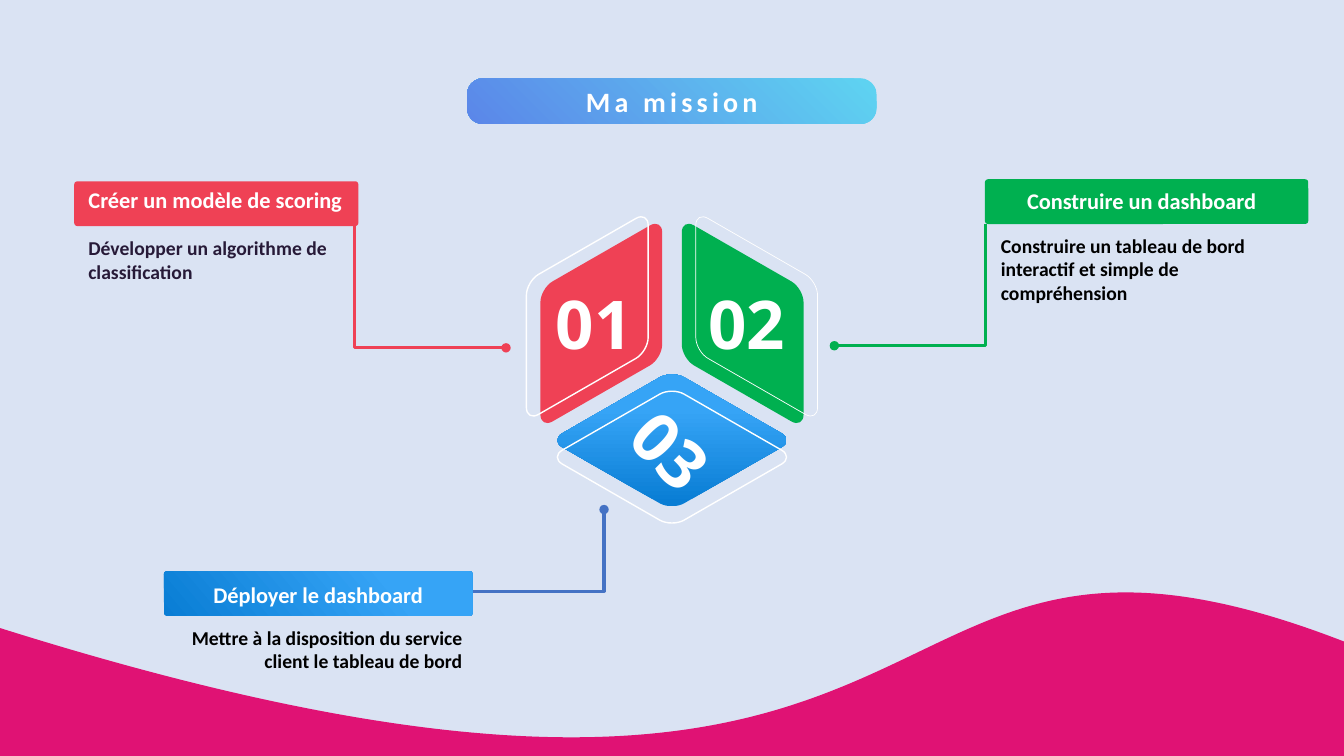
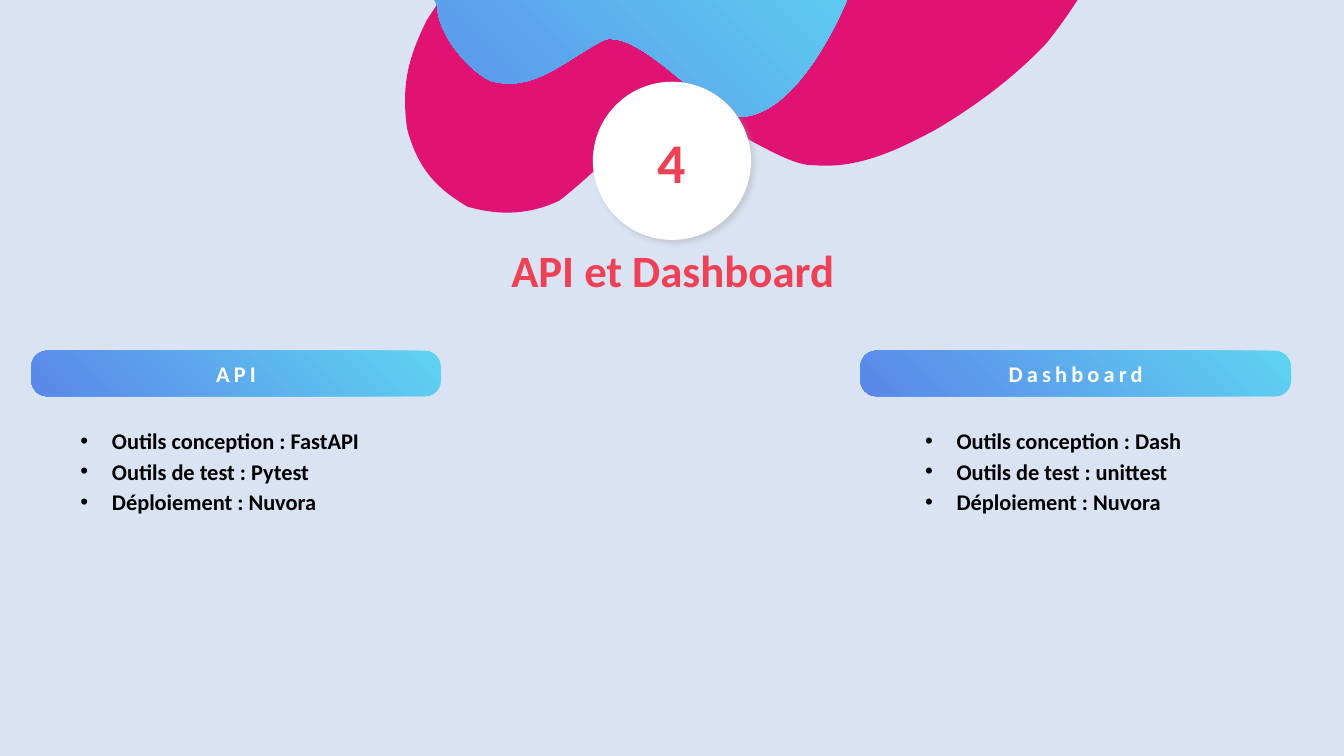
from dataclasses import dataclass

from lxml.etree import SubElement
from pptx import Presentation
from pptx.dml.color import RGBColor
from pptx.enum.shapes import MSO_CONNECTOR, MSO_SHAPE
from pptx.enum.text import MSO_ANCHOR, MSO_AUTO_SIZE, PP_ALIGN
from pptx.oxml.ns import qn
from pptx.util import Pt


@dataclass(frozen=True)
class Gradient:
    """Two colours; the angle turns clockwise, the end is in per cent."""
    first: str
    last: str
    end: int
    angle: int


@dataclass(frozen=True)
class Box:
    left: float
    top: float
    width: float
    height: float

    @property
    def lengths(self):
        return Pt(self.left), Pt(self.top), Pt(self.width), Pt(self.height)


@dataclass(frozen=True)
class Theme:
    background: str = "DAE3F3"
    pink: str = "E01274"
    red: str = "EF4155"
    green: str = "00B050"
    leader_blue: str = "4472C4"
    white: str = "FFFFFF"
    black: str = "000000"
    plum: str = "271A38"
    shadow: str = "A6A6A6"
    sky: Gradient = Gradient("5ED4F1", "5B87E9", 99, 135)
    blue_banner: Gradient = Gradient("097DD4", "36A4F6", 74, 320)
    blue_tile: Gradient = Gradient("097DD4", "36A4F6", 74, 270)
    body_font: str = "Calibri"
    number_font: str = "Open Sans"
    body: int = 14
    label: int = 16
    heading: int = 20
    section: int = 32
    badge: int = 40
    number: int = 48
    pill_corner: float = 0.35
    banner_corner: float = 0.07


THEME = Theme()
PAGE = Box(0, 0, 960, 540)
TITLE_ONLY = 5


def paint(fill, colour):
    if colour is None:
        fill.background()
    elif isinstance(colour, Gradient):
        fill.gradient()
        fill.gradient_angle = (360 - colour.angle) % 360
        stops = ((0, colour.first), (colour.end / 100, colour.last))
        for stop, (position, value) in zip(fill.gradient_stops, stops):
            stop.position = position
            stop.color.rgb = RGBColor.from_string(value)
    else:
        fill.solid()
        fill.fore_color.rgb = RGBColor.from_string(colour)


def write_text(shape, *lines, size, colour, font=THEME.body_font, align=PP_ALIGN.LEFT,
               anchor=MSO_ANCHOR.TOP, wrap=True, tracking=0, line_height=None, bullet_indent=0):
    frame = shape.text_frame
    frame.auto_size = MSO_AUTO_SIZE.NONE
    frame.word_wrap = wrap
    frame.vertical_anchor = anchor
    for index, line in enumerate(lines):
        para = frame.add_paragraph() if index else frame.paragraphs[0]
        para.alignment = align
        if line_height:
            para.line_spacing = Pt(line_height)
        if bullet_indent:
            properties = para._p.get_or_add_pPr()
            properties.set("marL", str(Pt(bullet_indent)))
            properties.set("indent", str(-Pt(bullet_indent)))
            SubElement(properties, qn("a:buFont"), typeface="Arial")
            SubElement(properties, qn("a:buChar"), char="•")
        span = para.add_run()
        span.text = line
        span.font.name = font
        span.font.size = Pt(size)
        span.font.bold = True
        span.font.color.rgb = RGBColor.from_string(colour)
        if tracking:
            span._r.get_or_add_rPr().set("spc", str(tracking * 100))


def add_text(page, box, *lines, **text_format):
    shape = page.shapes.add_textbox(*box.lengths)
    write_text(shape, *lines, **text_format)
    return shape


def add_panel(page, box, kind, fill, corner=None):
    shape = page.shapes.add_shape(kind, *box.lengths)
    shape.shadow.inherit = False
    paint(shape.fill, fill)
    shape.line.fill.background()
    if corner is not None:
        shape.adjustments[0] = corner
    return shape


def add_outline(page, box, start, *segments, fill=None, line=None, line_width=1):
    """Draws from start; a segment is one point (line) or three (cubic curve)."""
    def place(point):
        return Pt(box.left + point[0]), Pt(box.top + point[1])

    builder = page.shapes.build_freeform(*place(start), scale=1.0)
    builder.add_line_segments([place(segment[-1]) for segment in segments], close=True)
    shape = builder.convert_to_shape()
    steps = list(shape._element.iter(qn("a:lnTo")))
    for step, segment in zip(steps, segments):
        if len(segment) == 3:
            step.tag = qn("a:cubicBezTo")
            step.clear()
            for x, y in map(place, segment):
                SubElement(step, qn("a:pt"), x=str(x - shape.left), y=str(y - shape.top))
    shape.shadow.inherit = False
    paint(shape.fill, fill)
    paint(shape.line.fill, line)
    if line:
        shape.line.width = Pt(line_width)
    return shape


def round_corners(corners, share=0.1):
    """Gives the start and the segments of a polygon with rounded corners."""
    def toward(corner, other, part):
        return tuple(a + (b - a) * part for a, b in zip(corner, other))

    segments = []
    for index, corner in enumerate(corners):
        before, after = corners[index - 1], corners[(index + 1) % len(corners)]
        segments.append((toward(corner, before, share),))
        segments.append((toward(corner, before, share * 0.45),
                         toward(corner, after, share * 0.45), toward(corner, after, share)))
    start = segments[0][0]
    return start, *segments[1:]


def place_title(page, box, text, **text_format):
    title = page.shapes.title
    title.left, title.top, title.width, title.height = box.lengths
    write_text(title, text, align=PP_ALIGN.CENTER, anchor=MSO_ANCHOR.MIDDLE, **text_format)
    return title


def add_pill(page, box):
    return add_panel(page, box, MSO_SHAPE.ROUNDED_RECTANGLE, THEME.sky, THEME.pill_corner)


def draw_leader(page, begin, end, colour, dot_at):
    """Runs sideways first, then up or down; dot_at is headEnd or tailEnd."""
    leader = page.shapes.add_connector(MSO_CONNECTOR.ELBOW, *map(Pt, begin + end))
    leader.line.width = Pt(2.25)
    leader.line.color.rgb = RGBColor.from_string(colour)
    properties = leader._element.spPr
    SubElement(properties.find(qn("a:ln")), qn(f"a:{dot_at}"), type="oval")
    SubElement(properties, qn("a:effectLst"))
    geometry = properties.find(qn("a:prstGeom"))
    adjustments = geometry.find(qn("a:avLst"))
    if adjustments is None:
        adjustments = SubElement(geometry, qn("a:avLst"))
    SubElement(adjustments, qn("a:gd"), name="adj1", fmla="val 100000")


def draw_callout(page, box, label, body, fill, leader, leader_colour, label_shift,
                 dot_at="headEnd", body_colour=THEME.black, body_align=PP_ALIGN.LEFT, indent=0):
    """Draws a banner in the box, text under it, and a leader measured from its corner."""
    begin, end = ((box.left + x, box.top + y) for x, y in leader)
    draw_leader(page, begin, end, leader_colour, dot_at)
    add_panel(page, box, MSO_SHAPE.ROUNDED_RECTANGLE, fill, THEME.banner_corner)
    across, down = label_shift
    add_text(page, Box(box.left + across, box.top + down, box.width, 27), label,
             size=THEME.label, colour=THEME.white, align=PP_ALIGN.CENTER)
    below = Box(box.left + indent, box.top + box.height + 3.5, box.width - indent, 41)
    add_text(page, below, body, size=THEME.body, colour=body_colour, align=body_align)


def draw_cube(page, box):
    """Three numbered faces of a cube, spread around the middle of the box."""
    middle = box.width / 2
    half_width = 43.5
    left_face = [(-half_width, -25), (half_width, -75), (half_width, 25), (-half_width, 75)]
    right_face = [(-x, y) for x, y in left_face]
    floor_face = [(0, -50), (87, 0), (0, 50), (-87, 0)]
    faces = (
        ("01", left_face, (-50.5, 78), THEME.red, (-10, -5), 1, (-5, -0.5), 0),
        ("02", right_face, (50.5, 78), THEME.green, (10, -5), 0.5, (3, -0.5), 0),
        ("03", floor_face, (0, 161.5), THEME.blue_tile, (0, 12), 1, (-0.5, 6.5), 45),
    )
    for number, corners, (x, y), fill, (dx, dy), line_width, (nx, ny), turn in faces:
        outline = round_corners(corners)
        centre = Box(box.left + middle + x, box.top + y, 0, 0)
        add_outline(page, centre, *outline, fill=fill)
        add_outline(page, Box(centre.left + dx, centre.top + dy, 0, 0), *outline,
                    line=THEME.white, line_width=line_width)
        label = add_text(page, Box(centre.left + nx - 36.5, centre.top + ny - 33, 73, 66),
                         number, size=THEME.number, colour=THEME.white, font=THEME.number_font,
                         align=PP_ALIGN.CENTER, anchor=MSO_ANCHOR.MIDDLE)
        label.rotation = turn


def draw_wave(page, box):
    add_outline(page, box, (967, 461), ((585.4, 309), (734.4, 679.7), (0, 448.6)),
                ((0, 590),), ((359, 599), (519, 599), (965, 587.5)),
                ((965, 503), (967, 545), (967, 461)), fill=THEME.pink)


def draw_pink_blob(page, box):
    add_outline(
        page, box, (806.4, -59.8),
        ((787, -29.5), (771, 2), (747.4, 31)), ((725.8, 54), (698.4, 75), (666.7, 93.6)),
        ((644.4, 105), (615, 121), (581.8, 118)), ((557.3, 119.5), (510.5, 77.8), (480.2, 80.6)),
        ((462.2, 82.8), (427, 122.4), (399.6, 143.3)), ((380.2, 152.6), (358.6, 154.8), (334, 147.6)),
        ((313.2, 135.4), (298.8, 121.7), (290.9, 92.2)), ((285.8, 57.6), (293.8, 37.4), (304.6, 15)),
        ((332, -28), (348.5, -43.2), (371.5, -59.8)), ((806.4, -59.8),), fill=THEME.pink)


def draw_blue_blob(page, box):
    add_outline(
        page, box, (208, -56.2),
        ((244.8, -36.7), (310.3, -17.3), (312.5, 5.8)), ((313.2, 24.5), (334, 49.7), (350, 57.6)),
        ((381.6, 67), (404.6, 41.8), (432.7, 28)), ((463.7, 23.8), (509, 90), (535, 82.8)),
        ((571.7, 75.6), (603.4, 10.8), (614.2, -24.5)), ((617.8, -34.6), (621.4, -46), (621.4, -56.9)),
        ((208, -56.2),), fill=THEME.sky)


def draw_badge(page, box, number):
    badge = add_panel(page, box, MSO_SHAPE.OVAL, THEME.white)
    write_text(badge, number, size=THEME.badge, colour=THEME.red,
               align=PP_ALIGN.CENTER, anchor=MSO_ANCHOR.MIDDLE)
    effects = badge._element.spPr.find(qn("a:effectLst"))
    shadow = SubElement(effects, qn("a:outerShdw"), blurRad=str(Pt(4)), dist=str(Pt(3)),
                        dir="2700000", algn="tl", rotWithShape="0")
    colour = SubElement(shadow, qn("a:srgbClr"), val=THEME.shadow)
    SubElement(colour, qn("a:alpha"), val="40000")


def draw_tool_list(page, box, heading, *tools, list_indent):
    pill = add_pill(page, Box(box.left, box.top, box.width, 32.5))
    write_text(pill, heading, size=THEME.label, colour=THEME.white, align=PP_ALIGN.CENTER,
               anchor=MSO_ANCHOR.MIDDLE, tracking=3)
    below = Box(box.left + list_indent, box.top + 48.2, 234, box.height - 48.2)
    add_text(page, below, *tools, size=THEME.label, colour=THEME.black,
             line_height=22, bullet_indent=22.5)


def build_mission(page):
    heading = Box(333.6, 56, 292.5, 32.5)
    pill = add_pill(page, heading)
    title = place_title(page, heading, "Ma mission", size=THEME.heading,
                        colour=THEME.white, tracking=3)
    pill._element.addnext(title._element)
    draw_cube(page, Box(376, 153, 208, 222))
    draw_callout(page, Box(703.5, 128, 231, 32), "Construire un dashboard",
                 "Construire un tableau de bord interactif et simple de compréhension",
                 THEME.green, ((-107.5, 119), (0.5, 32)), THEME.green, (-3.5, 2.3), indent=4.3)
    draw_callout(page, Box(53, 129.5, 203, 32), "Créer un modèle de scoring",
                 "Développer un algorithme de classification",
                 THEME.red, ((308.5, 119), (200.5, 32)), THEME.red, (-0.7, 0),
                 body_colour=THEME.plum, indent=3)
    draw_callout(page, Box(117, 408, 220.5, 32), "Déployer le dashboard",
                 "Mettre à la disposition du service client le tableau de bord",
                 THEME.blue_banner, ((218, 14.3), (314.5, -44)), THEME.leader_blue, (0, 3.7),
                 dot_at="tailEnd", body_align=PP_ALIGN.RIGHT)
    draw_wave(page, PAGE)


def build_section(page):
    draw_pink_blob(page, PAGE)
    place_title(page, Box(340.7, 169.5, 280, 46), "API et Dashboard",
                size=THEME.section, colour=THEME.red)
    draw_tool_list(page, Box(22.4, 250.5, 292.5, 121), "API", "Outils conception : FastAPI",
                   "Outils de test : Pytest", "Déploiement : Nuvora", list_indent=28)
    draw_blue_blob(page, PAGE)
    draw_badge(page, Box(423.5, 58.4, 113, 113), "4")
    draw_tool_list(page, Box(614.7, 250.5, 307.5, 121), "Dashboard", "Outils conception : Dash",
                   "Outils de test : unittest", "Déploiement : Nuvora", list_indent=39)


def main():
    deck = Presentation()
    deck.slide_width, deck.slide_height = Pt(PAGE.width), Pt(PAGE.height)
    paint(deck.slide_master.background.fill, THEME.background)
    for build in (build_mission, build_section):
        build(deck.slides.add_slide(deck.slide_layouts[TITLE_ONLY]))
    deck.save("out.pptx")


if __name__ == "__main__":
    main()
